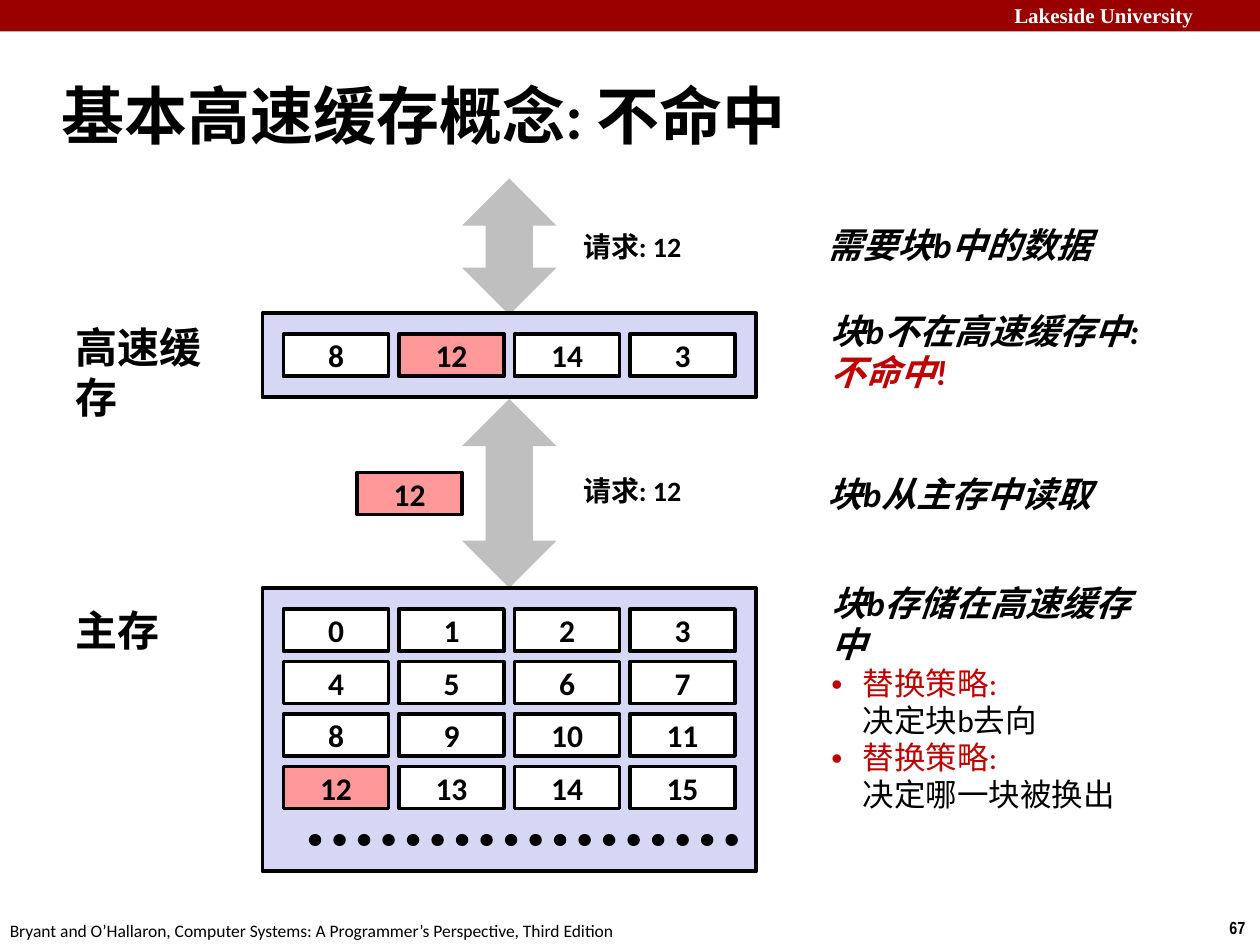
from lxml import etree
from pptx import Presentation
from pptx.dml.color import RGBColor
from pptx.enum.dml import MSO_LINE
from pptx.enum.shapes import MSO_CONNECTOR, MSO_SHAPE
from pptx.enum.text import MSO_ANCHOR, PP_ALIGN
from pptx.oxml.ns import qn
from pptx.util import Pt

RECTANGLE, DOUBLE_ARROW = MSO_SHAPE.RECTANGLE, MSO_SHAPE.UP_DOWN_ARROW
STRAIGHT, DOTTED = MSO_CONNECTOR.STRAIGHT, MSO_LINE.ROUND_DOT
TOP, MIDDLE = MSO_ANCHOR.TOP, MSO_ANCHOR.MIDDLE
LEFT, CENTER = PP_ALIGN.LEFT, PP_ALIGN.CENTER

THEME = {
    "body": "Calibri", "header": "Times New Roman", "number": "Arial Narrow",
    "black": "000000", "white": "FFFFFF", "banner": "990000", "arrow": "BFBFBF",
    "panel": "D6D6F5", "hit": "FF9999", "alert": "C00000",
    "title": 36, "label": 24, "step": 20, "cell": 18, "request": 16,
    "brand": 12, "small": 10, "outline": 2.25, "dots": 7,
}

# Content
TITLE = "基本高速缓存概念: 不命中"
HEADER = "Lakeside University"
FOOTER = "Bryant and O’Hallaron, Computer Systems: A Programmer’s Perspective, Third Edition"
PAGE_NUMBER = "67"
REQUESTED = 12
REQUEST = f"请求: {REQUESTED}"
CACHE = [[8, 12, 14, 3]]
MEMORY = [list(range(start, start + 4)) for start in range(0, 16, 4)]
LABELS = [("高速缓存", 180, 110), ("主存", 342, 63)]      # text, top, width
REQUEST_TOPS = [127.5, 267]
ARROWS = [(102, 78), (228, 108)]                          # top, height
# Each step: left, top, width, height, lines, policies
STEPS = [
    (466, 124.5, 165, 32, ["需要块b中的数据"], []),
    (467.5, 174, 190, 55, ["块b不在高速缓存中:", "不命中!"], []),
    (466, 267, 165, 32, ["块b从主存中读取"], []),
    (468, 341.5, 204.5, 116, ["块b存储在高速缓存中"],
     [("替换策略:", "决定块b去向"), ("替换策略:", "决定哪一块被换出")]),
]

# Layout rules
PANEL_LEFT, PANEL_WIDTH = 150, 282
CELL_WIDTH, CELL_HEIGHT, CELL_GAP = 60, 24, 6
PANEL_PAD = 12
ARROW_WIDTH = 54
MEMORY_TOP, MEMORY_HEIGHT = 336, 162
CACHE_TOP, CACHE_HEIGHT = 179, 48

deck = Presentation()
deck.slide_width, deck.slide_height = Pt(720), Pt(540)
page = deck.slides.add_slide(deck.slide_layouts[6])


def color(name):
    return RGBColor.from_string(THEME[name])


def style(span, size, tint="black", bold=True, italic=False, font="body"):
    span.font.name = THEME[font]
    span.font.size = Pt(THEME[size])
    span.font.color.rgb = color(tint)
    span.font.bold, span.font.italic = bold, italic


def add_shape(kind, left, top, width, height, fill, outlined=False):
    shape = page.shapes.add_shape(kind, Pt(left), Pt(top), Pt(width), Pt(height))
    shape.shadow.inherit = False
    shape.fill.solid()
    shape.fill.fore_color.rgb = color(fill)
    if outlined:
        shape.line.color.rgb = color("black")
        shape.line.width = Pt(THEME["outline"])
    else:
        shape.line.fill.background()
    return shape


def add_box(left, top, width, height, wrap=True, anchor=TOP):
    box = page.shapes.add_textbox(Pt(left), Pt(top), Pt(width), Pt(height))
    box.text_frame.word_wrap = wrap
    box.text_frame.vertical_anchor = anchor
    return box.text_frame


def add_text(text, place, size, align=LEFT, wrap=False, anchor=TOP, **look):
    frame = add_box(*place, wrap, anchor)
    frame.text = text
    para = frame.paragraphs[0]
    para.alignment = align
    style(para.runs[0], size, **look)


def add_cell(value, left, top):
    fill = "hit" if value == REQUESTED else "white"
    box = add_shape(RECTANGLE, left, top, CELL_WIDTH, CELL_HEIGHT, fill, True)
    box.text_frame.text = str(value)
    box.text_frame.vertical_anchor = MIDDLE
    para = box.text_frame.paragraphs[0]
    para.alignment = CENTER
    style(para.runs[0], "cell")


def add_store(rows, top, height):
    add_shape(RECTANGLE, PANEL_LEFT, top, PANEL_WIDTH, height, "panel", True)
    for row, values in enumerate(rows):
        for column, value in enumerate(values):
            add_cell(value,
                     PANEL_LEFT + PANEL_PAD + column * (CELL_WIDTH + CELL_GAP),
                     top + PANEL_PAD + row * (CELL_HEIGHT + CELL_GAP))


def add_bullet(para):
    props = para._p.get_or_add_pPr()
    props.set("marL", str(Pt(18)))
    props.set("indent", str(-Pt(18)))
    etree.SubElement(props, qn("a:buFont")).set("typeface", "Arial")
    etree.SubElement(props, qn("a:buChar")).set("char", "•")


def add_step(left, top, width, height, lines, policies):
    frame = add_box(left, top, width, height, anchor=MIDDLE)
    entries = lines + ["\v".join(policy) for policy in policies]
    for index, text in enumerate(entries):
        para = frame.add_paragraph() if index else frame.paragraphs[0]
        para.text = text
        para.line_spacing = 0.98
        if index < len(lines):
            style(para.runs[0], "step", "alert" if index else "black", italic=True)
        else:
            add_bullet(para)
            for span, tint in zip(para.runs, ("alert", "black")):
                style(span, "cell", tint, bold=False)


# Banner, footer and title
add_shape(RECTANGLE, 0, 0, 720, 18, "banner")
add_text(HEADER, (572.5, -2, 152.5, 21.5), "brand", wrap=True, tint="white", font="header")
add_text(PAGE_NUMBER, (695.5, 520.5, 24.5, 19.5), "small", font="number")
add_text(FOOTER, (-1.5, 522, 366.5, 19.5), "small", bold=False)
add_text(TITLE, (28, 35.5, 597.5, 60), "title", wrap=True, anchor=MIDDLE)

# Transfer arrows
arrow_left = PANEL_LEFT + (PANEL_WIDTH - ARROW_WIDTH) / 2
for top, height in ARROWS:
    add_shape(DOUBLE_ARROW, arrow_left, top, ARROW_WIDTH, height, "arrow")

# Cache, main memory and the block in transit
add_store(MEMORY, MEMORY_TOP, MEMORY_HEIGHT)
add_store(CACHE, CACHE_TOP, CACHE_HEIGHT)
add_cell(REQUESTED, arrow_left - CELL_WIDTH, 270)

# Dotted continuation of main memory
dots = page.shapes.add_connector(STRAIGHT, Pt(180), Pt(480), Pt(420), Pt(480))
dots.line.color.rgb = color("black")
dots.line.width = Pt(THEME["dots"])
dots.line.dash_style = DOTTED
dots.line._get_or_add_ln().set("cap", "rnd")
etree.SubElement(dots._element.spPr, qn("a:effectLst"))

# Store labels, requests and explanations
for text, top, width in LABELS:
    add_text(text, (36, top, width, 36), "label")
for top in REQUEST_TOPS:
    add_text(REQUEST, (326, top, 70.5, 26.5), "request", align=CENTER, wrap=True)
for step in STEPS:
    add_step(*step)

deck.save("out.pptx")
